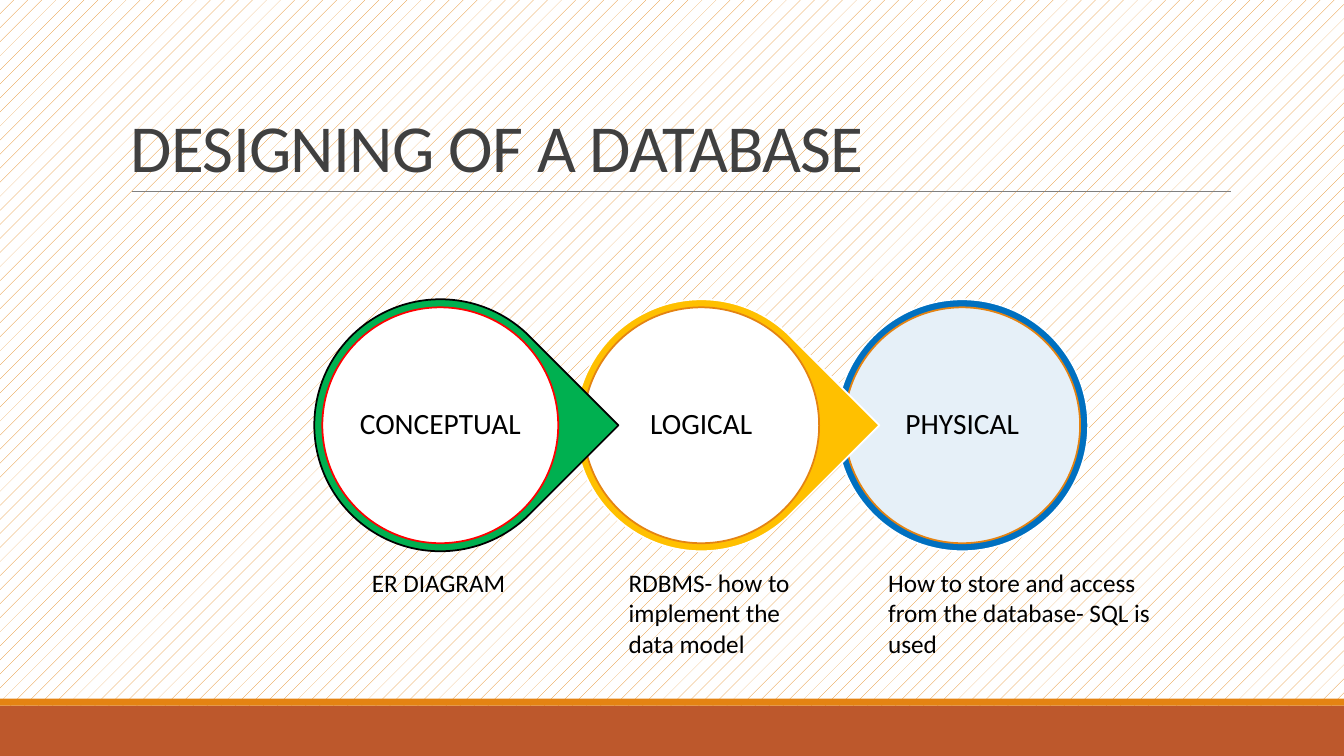
from dataclasses import dataclass

from lxml import etree
from pptx import Presentation
from pptx.dml.color import RGBColor
from pptx.enum.dml import MSO_PATTERN
from pptx.enum.shapes import MSO_CONNECTOR, MSO_SHAPE
from pptx.enum.text import MSO_ANCHOR, MSO_AUTO_SIZE, PP_ALIGN
from pptx.oxml.ns import qn
from pptx.util import Pt

RECT = MSO_SHAPE.RECTANGLE
OVAL = MSO_SHAPE.OVAL
DROP = MSO_SHAPE.TEAR
LINE = MSO_CONNECTOR.STRAIGHT
DOTS = MSO_PATTERN.PERCENT_5
TOP = MSO_ANCHOR.TOP
MIDDLE = MSO_ANCHOR.MIDDLE
BOTTOM = MSO_ANCHOR.BOTTOM
LEFT = PP_ALIGN.LEFT
CENTER = PP_ALIGN.CENTER
GROW = MSO_AUTO_SIZE.SHAPE_TO_FIT_TEXT


@dataclass(frozen=True)
class Theme:
    font: str = "Calibri"
    title: int = 48
    label: int = 21
    body: int = 18
    white: str = "FFFFFF"
    black: str = "000000"
    dark: str = "404040"
    gray: str = "808080"
    orange: str = "E48312"
    rust: str = "BD582C"
    green: str = "00B050"
    gold: str = "FFC000"
    blue: str = "0070C0"
    red: str = "FF0000"


class Painter:
    def __init__(self, slide, theme):
        self.slide = slide
        self.theme = theme

    def backdrop(self, fore, back):
        fill = self.slide.background.fill
        fill.patterned()
        fill.pattern = DOTS
        fill.fore_color.rgb = RGBColor.from_string(fore)
        fill.back_color.rgb = RGBColor.from_string(back)

    def shape(self, kind, left, top, width, height, color, edge=None, alpha=100):
        item = self.slide.shapes.add_shape(kind, Pt(left), Pt(top), Pt(width), Pt(height))
        item.shadow.inherit = False
        item.fill.solid()
        item.fill.fore_color.rgb = RGBColor.from_string(color)
        if alpha < 100:
            tone = item.fill._xPr.find(qn("a:solidFill"))[0]
            etree.SubElement(tone, qn("a:alpha"), val=str(alpha * 1000))
        if edge:
            item.line.color.rgb = RGBColor.from_string(edge)
            item.line.width = Pt(1.25)
        else:
            item.line.fill.background()
        return item

    def disc(self, kind, x, y, size, color, edge, alpha=100):
        return self.shape(kind, x - size / 2, y - size / 2, size, size, color, edge, alpha)

    def rule(self, left, right, y, color, weight):
        line = self.slide.shapes.add_connector(LINE, Pt(left), Pt(y), Pt(right), Pt(y))
        line.line.color.rgb = RGBColor.from_string(color)
        line.line.width = Pt(weight)
        etree.SubElement(line._element.spPr, qn("a:effectLst"))

    def text(self, words, left, top, width, height, size, color,
             anchor=TOP, align=LEFT, space=1.0, inset=None, grow=False, track=0):
        box = self.slide.shapes.add_textbox(Pt(left), Pt(top), Pt(width), Pt(height))
        frame = box.text_frame
        frame.word_wrap = True
        frame.vertical_anchor = anchor
        if grow:
            frame.auto_size = GROW
        if inset is not None:
            frame.margin_left = frame.margin_right = Pt(inset)
            frame.margin_top = frame.margin_bottom = Pt(inset)
        para = frame.paragraphs[0]
        para.text = words
        para.alignment = align
        para.line_spacing = space
        para.font.name = self.theme.font
        para.font.size = Pt(size)
        para.font.color.rgb = RGBColor.from_string(color)
        if track:
            para.runs[0].font._element.set("spc", str(round(track * 100)))


def main():
    theme = Theme()
    deck = Presentation()
    deck.slide_width, deck.slide_height = Pt(960), Pt(540)
    slide = deck.slides.add_slide(deck.slide_layouts[6])
    paint = Painter(slide, theme)

    paint.backdrop(theme.orange, theme.white)
    paint.shape(RECT, 0, 504, 960, 36, theme.rust)
    paint.shape(RECT, 0, 499, 960, 5, theme.orange)
    paint.rule(94.3, 879, 136.8, theme.gray, 0.5)
    paint.text("DESIGNING OF A DATABASE", 86.4, 22.6, 792, 114.2, theme.title,
               theme.dark, anchor=BOTTOM, space=0.85, track=-0.5)

    first, step, mid = 314.5, 186.4, 303.8
    outer, inner, label = 180, 168.5, 120
    stages = [
        ("CONCEPTUAL", DROP, theme.green, theme.black, theme.red, 100),
        ("LOGICAL", DROP, theme.gold, theme.white, theme.orange, 100),
        ("PHYSICAL", OVAL, theme.blue, theme.white, theme.orange, 90),
    ]
    for index, stage in reversed(list(enumerate(stages))):
        name, kind, color, edge, ring, alpha = stage
        x = first + index * step
        badge = paint.disc(kind, x, mid, outer, color, edge)
        if kind == DROP:
            badge.rotation = 45
            badge.adjustments[0] = 1
        paint.disc(OVAL, x, mid, inner, theme.white, ring, alpha)
        paint.text(name, x - label / 2, mid - label / 2, label, label, theme.label,
                   theme.black, anchor=MIDDLE, align=CENTER, space=0.9, inset=2)

    notes = [
        ("ER DIAGRAM", 258.5, 119, 29),
        ("RDBMS- how to implement the data model", 442, 132, 72.7),
        ("How to store and access from the database- SQL is used", 627.3, 203, 72.7),
    ]
    for words, left, width, height in notes:
        paint.text(words, left, 401.8, width, height, theme.body, theme.black, grow=True)

    deck.save("out.pptx")


if __name__ == "__main__":
    main()
